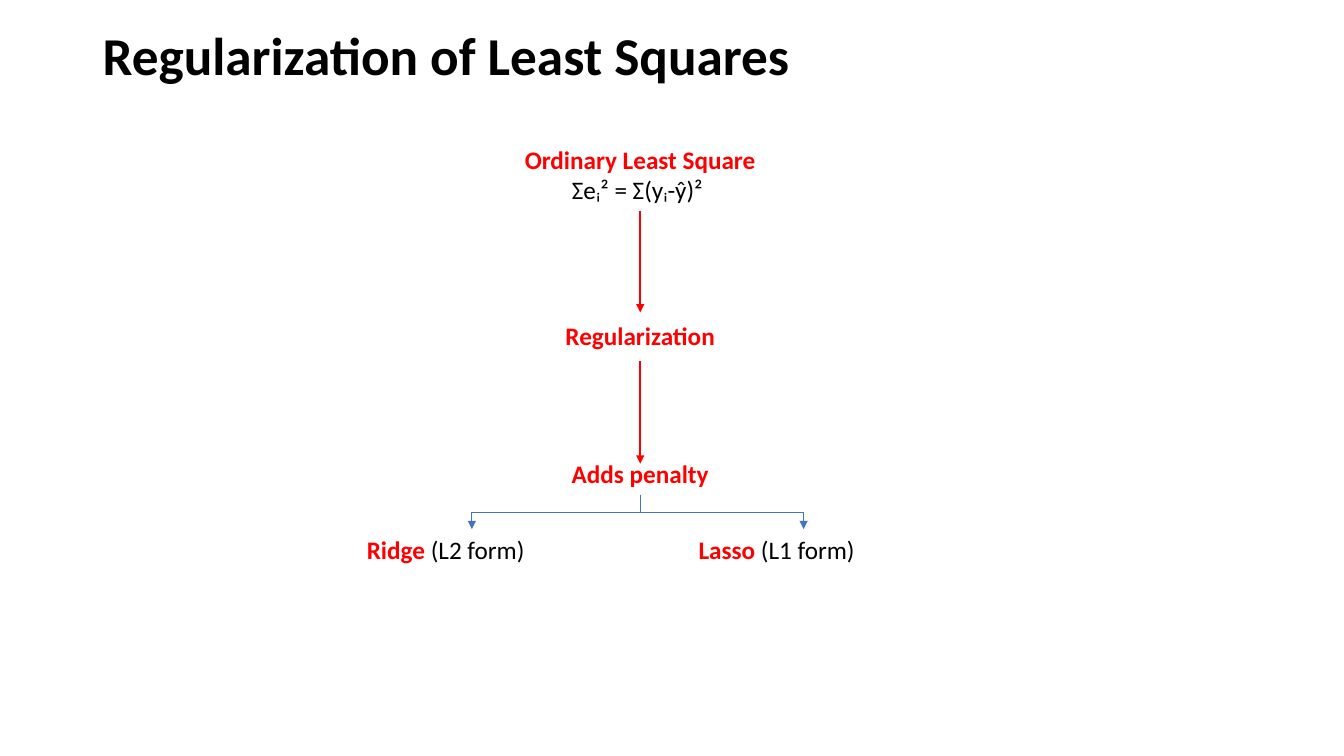
from dataclasses import dataclass

from lxml import etree
from pptx import Presentation
from pptx import util as u
from pptx.dml import color
from pptx.enum import shapes, text
from pptx.oxml import ns


@dataclass(frozen=True)
class Theme:
    font: str = "Calibri"
    black: str = "000000"
    red: str = "FF0000"
    blue: str = "4472C4"
    title_size: float = 38
    body_size: float = 18
    arrow_width: float = 1.5
    branch_width: float = 0.5


@dataclass(frozen=True)
class Run:
    words: str
    color: str
    bold: bool = False


@dataclass(frozen=True)
class Node:
    left: float
    top: float
    width: float
    height: float
    lines: list[list[Run]]
    align: text.PP_ALIGN = text.PP_ALIGN.CENTER


THEME = Theme()
CENTER = 6.35
LABEL_WIDTH, LABEL_HEIGHT = 2.27, 0.4
BRANCH_TOP, BRANCH_BOTTOM = 4.91, 5.25


def add_text(slide, node: Node, *, size: float = THEME.body_size,
             anchor=text.MSO_ANCHOR.TOP, fit=text.MSO_AUTO_SIZE.SHAPE_TO_FIT_TEXT,
             line_spacing: float = 1.0):
    box = slide.shapes.add_textbox(*map(u.Inches, (node.left, node.top, node.width, node.height)))
    frame = box.text_frame
    frame.word_wrap = True
    frame.auto_size = fit
    frame.vertical_anchor = anchor
    for index, line in enumerate(node.lines):
        paragraph = frame.add_paragraph() if index else frame.paragraphs[0]
        paragraph.alignment = node.align
        paragraph.line_spacing = line_spacing
        for item in line:
            run = paragraph.add_run()
            run.text = item.words
            run.font.name = THEME.font
            run.font.size = u.Pt(size)
            run.font.bold = item.bold
            run.font.color.rgb = color.RGBColor.from_string(item.color)
    return box


def centered(top: float, width: float, height: float, *lines: list[Run]) -> Node:
    return Node(CENTER - width / 2, top, width, height, list(lines))


def add_arrow(slide, kind, start: tuple[float, float], end: tuple[float, float],
              line_color: str, width: float):
    arrow = slide.shapes.add_connector(kind, *map(u.Inches, (*start, *end)))
    arrow.line.color.rgb = color.RGBColor.from_string(line_color)
    arrow.line.width = u.Pt(width)
    head = etree.SubElement(arrow.line._get_or_add_ln(), ns.qn("a:tailEnd"))
    head.set("type", "triangle")
    etree.SubElement(arrow._element.spPr, ns.qn("a:effectLst"))
    return arrow


def add_branch(slide, target: float) -> None:
    """Elbow that leaves downwards, runs sideways and ends downwards."""
    branch = add_arrow(slide, shapes.MSO_CONNECTOR.ELBOW, (CENTER, BRANCH_TOP),
                       (target, BRANCH_BOTTOM), THEME.blue, THEME.branch_width)
    drop, span = BRANCH_BOTTOM - BRANCH_TOP, abs(target - CENTER)
    branch.left = u.Inches((CENTER + target - drop) / 2)
    branch.top = u.Inches((BRANCH_TOP + BRANCH_BOTTOM - span) / 2)
    branch.width, branch.height = u.Inches(drop), u.Inches(span)
    frame = branch._element.spPr.find(ns.qn("a:xfrm"))
    goes_left = target < CENTER
    frame.set("rot", str((90 if goes_left else 270) * 60000))
    frame.set("flipH", "0" if goes_left else "1")


def main() -> None:
    presentation = Presentation()
    presentation.slide_width = u.Inches(13.33)
    presentation.slide_height = u.Inches(7.5)
    slide = presentation.slides.add_slide(presentation.slide_layouts[6])

    # Title
    title = Node(0.92, 0.28, 11.5, 0.59,
                 [[Run("Regularization of Least Squares", THEME.black, True)]],
                 text.PP_ALIGN.LEFT)
    add_text(slide, title, size=THEME.title_size, anchor=text.MSO_ANCHOR.MIDDLE,
             fit=text.MSO_AUTO_SIZE.NONE, line_spacing=0.9)

    # Central chain of steps
    least_squares = add_text(slide, centered(
        1.38, 3.07, 0.71,
        [Run("Ordinary Least Square", THEME.red, True)],
        [Run("Σeᵢ² = Σ(yᵢ-ŷ)² ", THEME.black)]))
    for label, top in (("Regularization", 3.13), ("Adds penalty", 4.5)):
        add_text(slide, centered(top, LABEL_WIDTH, LABEL_HEIGHT, [Run(label, THEME.red, True)]))

    # Arrows between the steps
    first_arrow, _ = [
        add_arrow(slide, shapes.MSO_CONNECTOR.STRAIGHT, (CENTER, top), (CENTER, top + 1.02),
                  THEME.red, THEME.arrow_width)
        for top in (2.08, 3.58)]
    first_arrow.begin_connect(least_squares, 2)

    # Two forms of penalty, each with its branch
    for name, form, left, target in (("Ridge ", "(L2 form)", 3.54, 4.68),
                                     ("Lasso ", "(L1 form)", 6.83, 7.97)):
        add_text(slide, Node(left, BRANCH_BOTTOM, LABEL_WIDTH, LABEL_HEIGHT,
                             [[Run(name, THEME.red, True), Run(form, THEME.black)]],
                             text.PP_ALIGN.LEFT))
        add_branch(slide, target)

    presentation.save("out.pptx")


if __name__ == "__main__":
    main()
